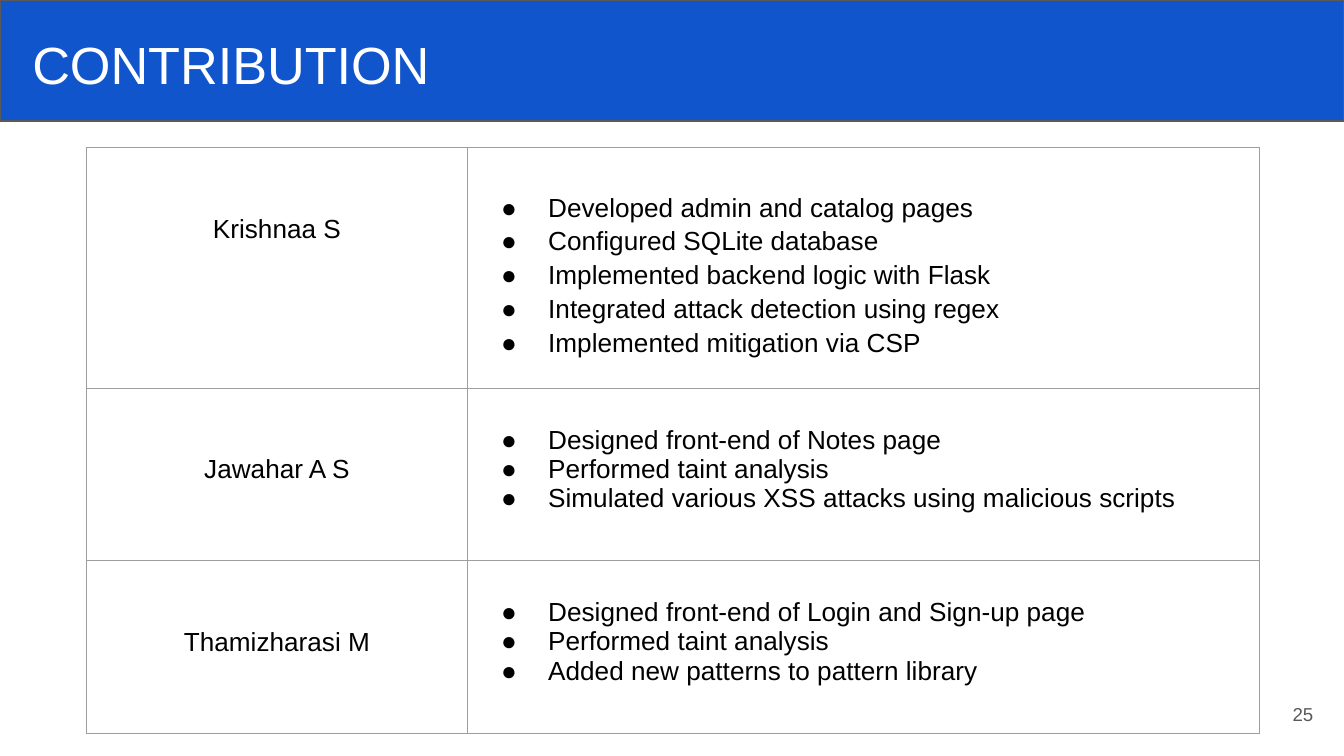
from lxml import etree
from pptx import Presentation
from pptx.dml.color import RGBColor
from pptx.enum import shapes, text
from pptx.oxml import ns
from pptx.util import Cm, Pt

# Content
TITLE = "CONTRIBUTION"
PAGE_NUMBER = "25"
# member, tasks, row height (cm), space above the tasks (cm), line spacing
CONTRIBUTIONS = [
    ("Krishnaa S", [
        "Developed admin and catalog pages",
        "Configured SQLite database",
        "Implemented backend logic with Flask",
        "Integrated attack detection using regex",
        "Implemented mitigation via CSP",
    ], 4.55, 0.78, 1.15),
    ("Jawahar A S", [
        "Designed front-end of Notes page",
        "Performed taint analysis",
        "Simulated various XSS attacks using malicious scripts",
    ], 3.26, 0.7, 1.0),
    ("Thamizharasi M", [
        "Designed front-end of Login and Sign-up page",
        "Performed taint analysis",
        "Added new patterns to pattern library",
    ], 3.26, 0.7, 1.0),
]

# Style
FONT = "Arial"
BLUE = RGBColor(0x11, 0x55, 0xCC)
GREY = RGBColor(0x59, 0x59, 0x59)
BORDER = RGBColor(0x9E, 0x9E, 0x9E)
BLACK = RGBColor(0, 0, 0)
WHITE = RGBColor(255, 255, 255)
SLIDE_WIDTH, SLIDE_HEIGHT = Cm(25.4), Cm(14.29)
COLUMN_WIDTHS = Cm(7.21), Cm(14.96)
INSET = Cm(0.25)
NAME_TOP = Cm(1.26)


def add_run(paragraph, words, size, color):
    run = paragraph.add_run()
    run.text = words
    run.font.name = FONT
    run.font.size = Pt(size)
    run.font.color.rgb = color


def set_frame(frame, anchor):
    frame.word_wrap = True
    frame.auto_size = text.MSO_AUTO_SIZE.NONE
    frame.vertical_anchor = anchor
    frame.margin_left = frame.margin_right = INSET
    frame.margin_top = frame.margin_bottom = INSET


def add_bullet(paragraph):
    props = paragraph._p.get_or_add_pPr()
    props.set("marL", str(Cm(1.27)))
    props.set("indent", str(Cm(-0.89)))
    color = etree.SubElement(props, ns.qn("a:buClr"))
    etree.SubElement(color, ns.qn("a:srgbClr"), val=str(BLACK))
    etree.SubElement(props, ns.qn("a:buFont"), typeface=FONT)
    etree.SubElement(props, ns.qn("a:buChar"), char="●")


def style_cell(cell, top):
    cell.margin_left = cell.margin_right = INSET
    cell.margin_top, cell.margin_bottom = top, Cm(0.13)
    cell.vertical_anchor = text.MSO_ANCHOR.TOP
    props = cell._tc.get_or_add_tcPr()
    for side in ("a:lnL", "a:lnR", "a:lnT", "a:lnB"):
        line = etree.SubElement(props, ns.qn(side), w=str(Pt(0.75)))
        fill = etree.SubElement(line, ns.qn("a:solidFill"))
        etree.SubElement(fill, ns.qn("a:srgbClr"), val=str(BORDER))
    cell.fill.background()


prs = Presentation()
prs.slide_width, prs.slide_height = SLIDE_WIDTH, SLIDE_HEIGHT
slide = prs.slides.add_slide(prs.slide_layouts[5])

# Header band, behind the title
band = slide.shapes.add_shape(shapes.MSO_SHAPE.RECTANGLE, 0, 0, SLIDE_WIDTH, Cm(2.29))
band.shadow.inherit = False
band.fill.solid()
band.fill.fore_color.rgb = BLUE
band.line.color.rgb = GREY
band.line.width = Pt(0.75)
slide.shapes._spTree.insert(2, band._element)

# Title
title = slide.shapes.title
title.left, title.top, title.width, title.height = Cm(0.36), Cm(0.36), Cm(24.74), Cm(1.63)
set_frame(title.text_frame, text.MSO_ANCHOR.TOP)
heading = title.text_frame.paragraphs[0]
heading.alignment = text.PP_ALIGN.LEFT
add_run(heading, TITLE, 28, WHITE)

# Contribution table
table = slide.shapes.add_table(
    len(CONTRIBUTIONS), 2, Cm(1.63), Cm(2.79), sum(COLUMN_WIDTHS),
    sum(Cm(height) for _, _, height, _, _ in CONTRIBUTIONS)).table
table.first_row = table.horz_banding = False
for column, width in zip(table.columns, COLUMN_WIDTHS):
    column.width = width
for row, (member, tasks, height, tasks_top, spacing) in zip(table.rows, CONTRIBUTIONS):
    row.height = Cm(height)
    name_cell, tasks_cell = row.cells
    style_cell(name_cell, NAME_TOP)
    name = name_cell.text_frame.paragraphs[0]
    name.alignment = text.PP_ALIGN.CENTER
    add_run(name, member, 14, BLACK)

    style_cell(tasks_cell, Cm(tasks_top))
    frame = tasks_cell.text_frame
    for index, task in enumerate(tasks):
        item = frame.add_paragraph() if index else frame.paragraphs[0]
        item.line_spacing = spacing
        add_bullet(item)
        add_run(item, task, 14, BLACK)

# Page number
page = slide.shapes.add_textbox(Cm(23.55), Cm(12.95), Cm(1.52), Cm(1.09))
set_frame(page.text_frame, text.MSO_ANCHOR.MIDDLE)
number = page.text_frame.paragraphs[0]
number.alignment = text.PP_ALIGN.RIGHT
add_run(number, PAGE_NUMBER, 10, GREY)

prs.save("out.pptx")
